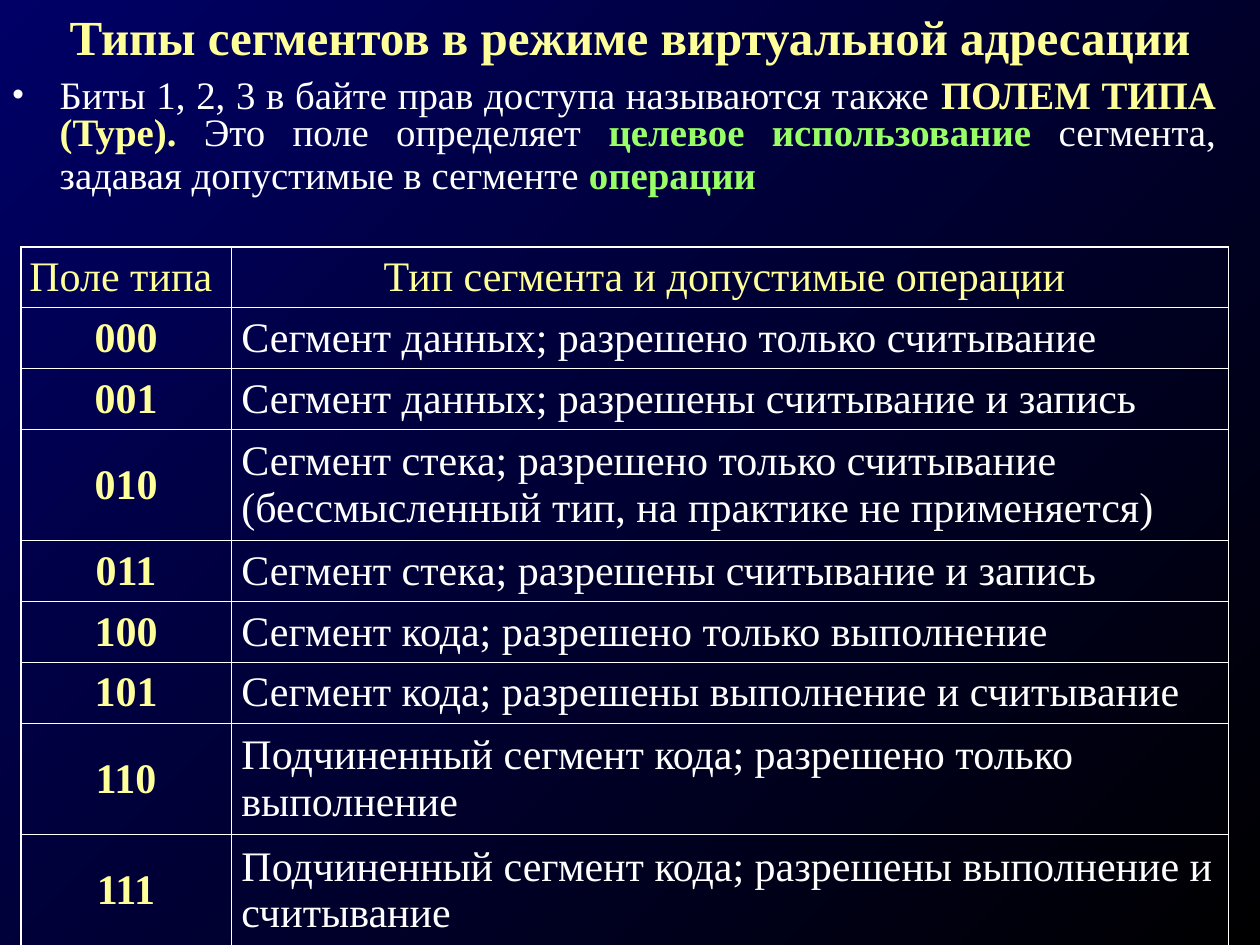
from lxml.etree import SubElement as Sub
from pptx import Presentation
from pptx.dml.color import RGBColor
from pptx.enum.text import MSO_ANCHOR as Anchor, PP_ALIGN as Align
from pptx.oxml.ns import qn
from pptx.util import Pt

SERIF, SANS = "Times New Roman", "Arial"
WHITE, YELLOW, GREEN = "FFFFFF", "FFFF99", "99FF66"
NAVY, BLACK = "000066", "000000"
THICK, THIN = 1.08, 0.45

TITLE = "Типы сегментов в режиме виртуальной адресации"
LEAD = [
    ("Биты 1, 2, 3 в байте прав доступа называются также ", WHITE),
    ("ПОЛЕМ ТИПА (Type).", YELLOW),
    (" Это поле определяет ", WHITE),
    ("целевое использование", GREEN),
    (" сегмента, задавая допустимые в сегменте ", WHITE),
    ("операции", GREEN),
]
HEAD = ("Поле типа ", "Тип сегмента и допустимые операции ")
# Meaning of each type code, and the number of lines it takes
TYPES = [
    ("Сегмент данных; разрешено только считывание", 1),
    ("Сегмент данных; разрешены считывание и запись", 1),
    ("Сегмент стека; разрешено только считывание "
     "(бессмысленный тип, на практике не применяется)", 2),
    ("Сегмент стека; разрешены считывание и запись", 1),
    ("Сегмент кода; разрешено только выполнение", 1),
    ("Сегмент кода; разрешены выполнение и считывание", 1),
    ("Подчиненный сегмент кода; разрешено только выполнение", 2),
    ("Подчиненный сегмент кода; разрешены выполнение и считывание", 2),
]


def color(code):
    return RGBColor.from_string(code)


def style(font, size, code, bold=False, name=SERIF):
    font.name, font.size, font.bold = name, Pt(size), bold
    font.color.rgb = color(code)


def add_run(para, text, size, code, bold=False, name=SERIF):
    run = para.add_run()
    run.text = text
    style(run.font, size, code, bold, name)


def text_box(slide, box):
    """Add a wrapping text box and return its first paragraph."""
    frame = slide.shapes.add_textbox(*map(Pt, box)).text_frame
    frame.word_wrap = True
    return frame.paragraphs[0]


def paint(slide):
    fill = slide.background.fill
    fill.gradient()
    fill.gradient_angle = 315
    for stop, code in zip(fill.gradient_stops, (NAVY, BLACK)):
        stop.color.rgb = color(code)


def add_title(slide, box):
    para = text_box(slide, box)
    para.alignment = Align.CENTER
    para.space_before = Pt(15)
    add_run(para, TITLE, 28, YELLOW, True)
    add_run(para, " ", 24, WHITE)


def add_lead(slide, box):
    para = text_box(slide, box)
    para.alignment = Align.JUSTIFY
    para.line_spacing = 0.8
    para.space_before = Pt(7)
    for text, code in LEAD:
        add_run(para, text, 22.2, code, code != WHITE)
    # The larger last space sets the height of the last line
    add_run(para, " ", 25.9, WHITE, name=SANS)

    # Hanging bullet
    props = para._p.get_or_add_pPr()
    props.set("marL", str(Pt(27)))
    props.set("indent", str(Pt(-27)))
    tint = Sub(props, qn("a:buClr"))
    Sub(tint, qn("a:srgbClr"), val=WHITE)
    Sub(props, qn("a:buSzPct"), val="85000")
    Sub(props, qn("a:buFont"), typeface=SANS)
    Sub(props, qn("a:buChar"), char="•")


def edge(cell, side, width):
    line = Sub(cell._tc.get_or_add_tcPr(), qn("a:ln" + side), w=str(Pt(width)))
    fill = Sub(line, qn("a:solidFill"))
    Sub(fill, qn("a:srgbClr"), val=WHITE)


def fill_cell(cell, text, code, bold, align, outer, pad=6):
    """Write one cell; outer names its sides on the table's rim."""
    for side in "LRTB":
        edge(cell, side, THICK if side in outer else THIN)
    cell.fill.background()
    cell.vertical_anchor = Anchor.MIDDLE
    cell.margin_left = cell.margin_right = Pt(pad)
    # Small enough for the text not to stretch the row
    cell.margin_top = cell.margin_bottom = Pt(2.8)
    para = cell.text_frame.paragraphs[0]
    para.text = text
    para.alignment = align
    para.space_before = Pt(6)
    style(para.font, 24, code, bold)


def add_types(slide, box):
    width = box[2]
    rows = [HEAD] + [(f"{i:03b}", text) for i, (text, _) in enumerate(TYPES)]
    lines = [1] + [count for _, count in TYPES]
    table = slide.shapes.add_table(len(rows), 2, *map(Pt, box)).table
    table.first_row = table.horz_banding = False

    first = 120
    for col, size in zip(table.columns, (first, width - first)):
        col.width = Pt(size)
    for row, count in zip(table.rows, lines):
        row.height = Pt(34.8 if count == 1 else 63.6)

    last = len(rows) - 1
    for r, (code, text) in enumerate(rows):
        head = r == 0
        rim = "T" if head else "B" if r == last else ""
        fill_cell(table.cell(r, 0), code, YELLOW, not head, Align.CENTER,
                  "L" + rim, 3 if head else 6)
        fill_cell(table.cell(r, 1), text, YELLOW if head else WHITE, False,
                  Align.CENTER if head else Align.LEFT, "R" + rim)


def main():
    deck = Presentation()
    deck.slide_width, deck.slide_height = Pt(720), Pt(540)
    slide = deck.slides.add_slide(deck.slide_layouts[6])
    paint(slide)
    add_lead(slide, (0, 42, 702, 78))
    add_types(slide, (12, 141, 690, 399.6))
    add_title(slide, (24, 0, 678, 41))
    deck.save("out.pptx")


if __name__ == "__main__":
    main()
